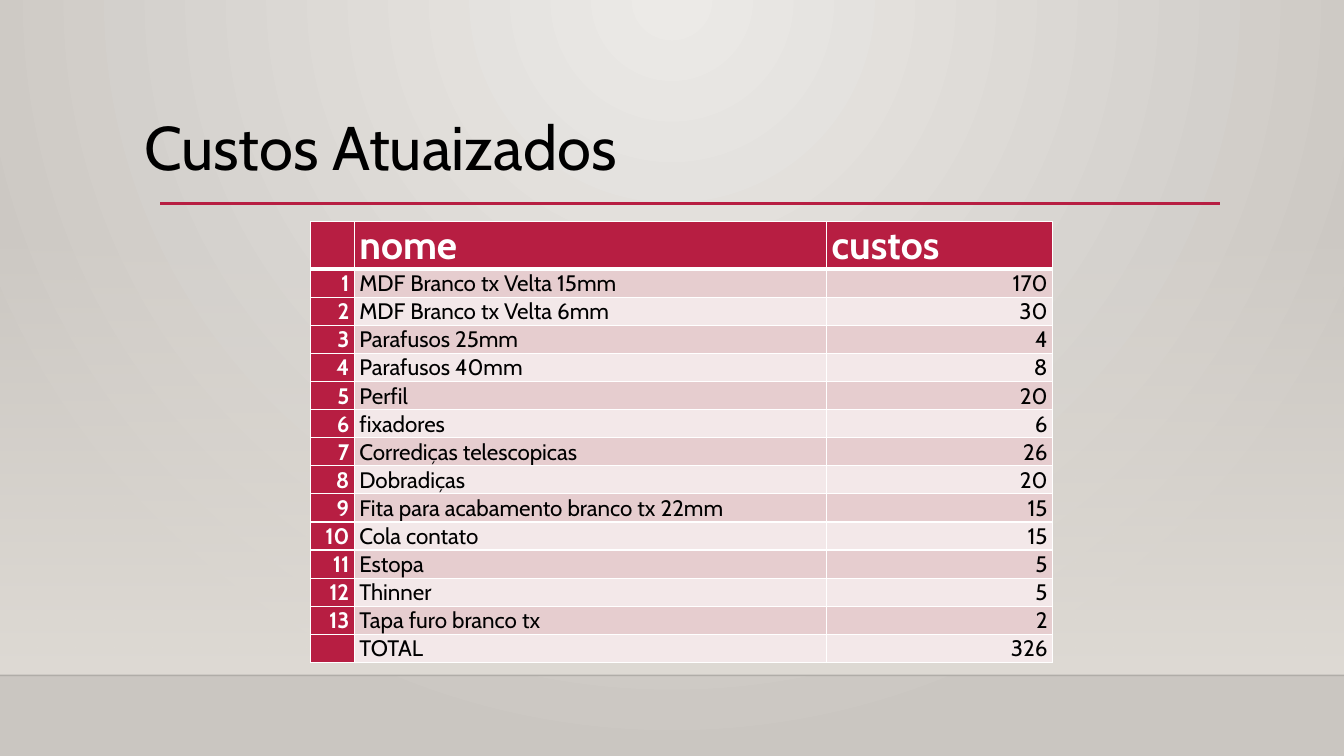
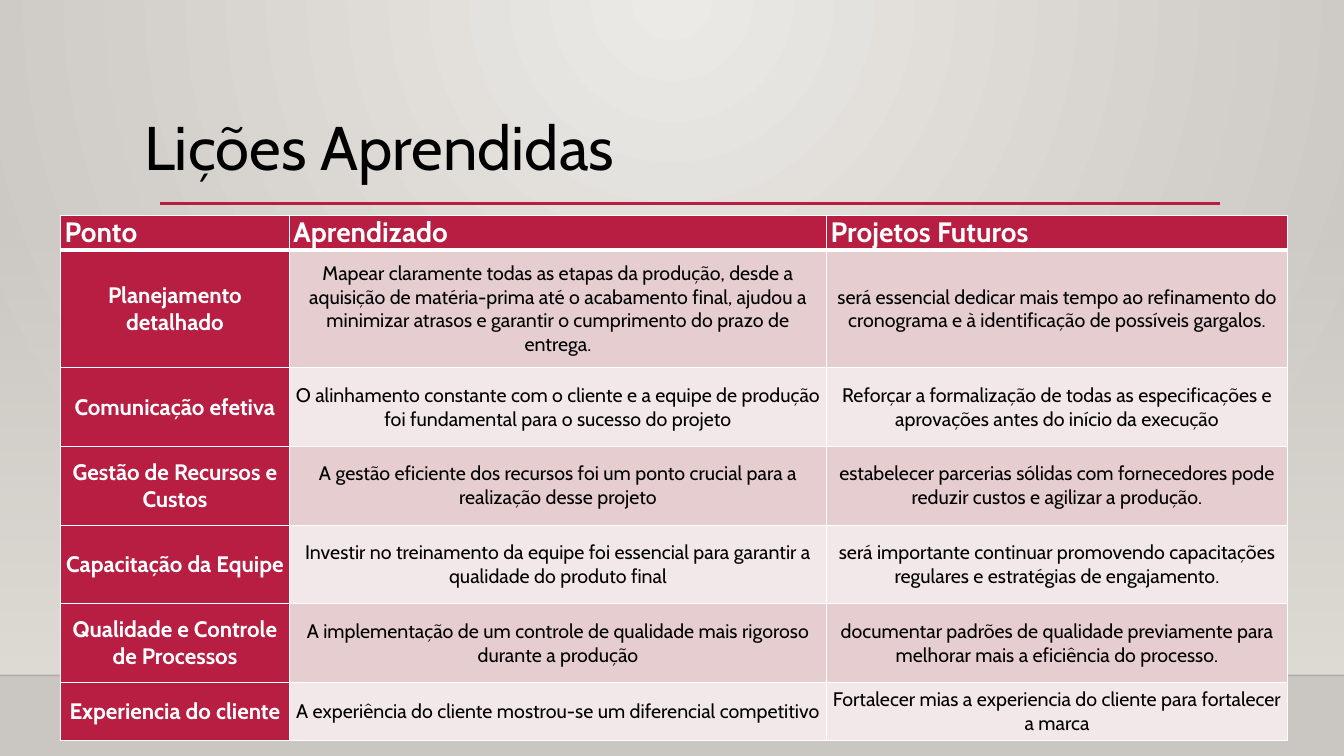
from dataclasses import dataclass

from lxml.etree import SubElement
from pptx import Presentation
from pptx.dml.color import RGBColor
from pptx.enum.shapes import MSO_CONNECTOR, MSO_SHAPE
from pptx.enum.text import MSO_ANCHOR, PP_ALIGN
from pptx.oxml import parse_xml
from pptx.oxml.ns import nsdecls, qn
from pptx.slide import Slide
from pptx.table import _Cell
from pptx.util import Emu, Inches, Pt

WIDE, HIGH = Inches(13.33), Inches(7.5)
ROWS = 75
UNIT = HIGH / ROWS
COLS = WIDE / UNIT

FONT = "Cabin"
RED = RGBColor(0xB7, 0x1E, 0x42)
ROSE = RGBColor(0xE6, 0xCD, 0xCF)
PALE = RGBColor(0xF3, 0xE8, 0xE9)
WHITE = RGBColor(0xFF, 0xFF, 0xFF)
BLACK = RGBColor(0x00, 0x00, 0x00)
GLOW = RGBColor(0xEC, 0xEA, 0xE7)
EDGE = RGBColor(0xCA, 0xC6, 0xC1)
SAND = RGBColor(0xDF, 0xDB, 0xD5)

LEFT, MID, RIGHT = PP_ALIGN.LEFT, PP_ALIGN.CENTER, PP_ALIGN.RIGHT
BASE, CENTER = MSO_ANCHOR.BOTTOM, MSO_ANCHOR.MIDDLE


@dataclass(frozen=True)
class Style:
    size: int
    color: RGBColor
    bold: bool = False
    align: PP_ALIGN = LEFT


@dataclass(frozen=True)
class Grid:
    left: float
    top: float
    cols: list[float]
    rows: list[float]
    inset: float
    anchor: MSO_ANCHOR
    head: Style
    body: list[Style]
    cells: list[list[str]]


@dataclass(frozen=True)
class Page:
    title: str
    grid: Grid


COSTS = [
    ("MDF Branco tx Velta 15mm", 170),
    ("MDF Branco tx Velta 6mm", 30),
    ("Parafusos 25mm", 4),
    ("Parafusos 40mm", 8),
    ("Perfil", 20),
    ("fixadores", 6),
    ("Corrediças telescopicas", 26),
    ("Dobradiças", 20),
    ("Fita para acabamento branco tx 22mm", 15),
    ("Cola contato", 15),
    ("Estopa", 5),
    ("Thinner", 5),
    ("Tapa furo branco tx", 2),
]

LESSONS = [
    ["Ponto", "Aprendizado", "Projetos Futuros"],
    ["Planejamento detalhado",
     "Mapear claramente todas as etapas da produção, desde a aquisição de matéria-prima "
     "até o acabamento final, ajudou a minimizar atrasos e garantir o cumprimento do "
     "prazo de entrega.",
     "será essencial dedicar mais tempo ao refinamento do cronograma e à identificação "
     "de possíveis gargalos."],
    ["Comunicação efetiva",
     "O alinhamento constante com o cliente e a equipe de produção foi fundamental para "
     "o sucesso do projeto",
     "Reforçar a formalização de todas as especificações e aprovações antes do início "
     "da execução"],
    ["Gestão de Recursos e Custos",
     "A gestão eficiente dos recursos foi um ponto crucial para a realização desse projeto",
     "estabelecer parcerias sólidas com fornecedores pode reduzir custos e agilizar a "
     "produção."],
    ["Capacitação da Equipe",
     "Investir no treinamento da equipe foi essencial para garantir a qualidade do "
     "produto final",
     "será importante continuar promovendo capacitações regulares e estratégias de "
     "engajamento."],
    ["Qualidade e Controle de Processos",
     "A implementação de um controle de qualidade mais rigoroso durante a produção",
     "documentar padrões de qualidade previamente para melhorar mais a eficiência do "
     "processo."],
    ["Experiencia do cliente",
     "A experiência do cliente mostrou-se um diferencial competitivo",
     "Fortalecer mias a experiencia do cliente para fortalecer a marca"],
]

PAGES = [
    Page("Custos Atuaizados", Grid(
        30.8, 22, [4.35, 46.85, 22.4], [4.7] + [2.79] * (len(COSTS) + 1), 0.5, BASE,
        Style(28, WHITE, True),
        [Style(16, WHITE, True, RIGHT), Style(16, BLACK), Style(16, BLACK, align=RIGHT)],
        [["", "nome", "custos"]]
        + [[str(n), name, str(cost)] for n, (name, cost) in enumerate(COSTS, 1)]
        + [["", "TOTAL", str(sum(cost for _, cost in COSTS))]],
    )),
    Page("Lições Aprendidas", Grid(
        6, 21.4, [22.7, 53.3, 45.7], [3.4, 11.7] + [7.8] * 4 + [5.8], 0.4, CENTER,
        Style(20, WHITE, True),
        [Style(16, WHITE, True, MID)] + [Style(14, BLACK, align=MID)] * 2,
        LESSONS,
    )),
]


def span(count: float) -> Emu:
    return Emu(round(count * UNIT))


def fade(node, share: int) -> None:
    SubElement(node, qn("a:alpha")).set("val", str(share * 1000))


def tint(fill, first: RGBColor, last: RGBColor) -> None:
    fill.gradient()
    for stop, color, place in zip(fill.gradient_stops, (first, last), (0, 1)):
        stop.color.rgb = color
        stop.position = place


def paint(master) -> None:
    tint(master.background.fill, GLOW, EDGE)
    lin = next(master.element.iter(qn("a:lin")))
    lin.getparent().replace(lin, parse_xml(
        f'<a:path {nsdecls("a")} path="circle">'
        '<a:fillToRect l="50000" t="0" r="50000" b="100000"/></a:path>'))


def rule(slide: Slide, left: float, right: float, top: float,
         color: RGBColor, width: float, share: int = 100) -> None:
    line = slide.shapes.add_connector(
        MSO_CONNECTOR.STRAIGHT, span(left), span(top), span(right), span(top))
    line.line.color.rgb = color
    line.line.width = Pt(width)
    props = line.element.spPr
    SubElement(props, qn("a:effectLst"))
    if share < 100:
        fade(next(props.iter(qn("a:srgbClr"))), share)


def frame(slide: Slide) -> None:
    veil = slide.shapes.add_shape(
        MSO_SHAPE.RECTANGLE, 0, span(22.1), WIDE, span(44.9))
    veil.shadow.inherit = False
    veil.line.fill.background()
    tint(veil.fill, SAND, SAND)
    veil.fill.gradient_angle = 270
    fade(next(veil.element.spPr.iter(qn("a:srgbClr"))), 0)
    rule(slide, 0, COLS, 67, BLACK, 1, 20)
    rule(slide, 15.9, 121, 20.2, RED, 2.5)


def write(para, text: str, style: Style) -> None:
    para.text = text
    para.alignment = style.align
    font = para.font
    font.name, font.size = FONT, Pt(style.size)
    font.bold, font.color.rgb = style.bold, style.color


def title(slide: Slide, text: str) -> None:
    box = slide.shapes.add_textbox(span(14.3), span(7.8), span(106.6), span(14.3))
    body = box.text_frame
    body.word_wrap = True
    body.vertical_anchor = CENTER
    body.margin_left = body.margin_right = body.margin_top = body.margin_bottom = 0
    para = body.paragraphs[0]
    write(para, text, Style(44, BLACK))
    para.line_spacing = 0.9


def border(cell: _Cell, row: int) -> None:
    props = cell._tc.get_or_add_tcPr()
    width = {"L": 1, "R": 1, "T": 3 if row == 1 else 1, "B": 3 if row == 0 else 1}
    for spot, (side, size) in enumerate(width.items()):
        props.insert(spot, parse_xml(
            f'<a:ln{side} {nsdecls("a")} w="{Pt(size)}"><a:solidFill>'
            f'<a:srgbClr val="{WHITE}"/></a:solidFill></a:ln{side}>'))


def table(slide: Slide, grid: Grid) -> None:
    item = slide.shapes.add_table(
        len(grid.rows), len(grid.cols), span(grid.left), span(grid.top),
        span(sum(grid.cols)), span(sum(grid.rows))).table
    item.first_row = item.horz_banding = False
    for col, width in zip(item.columns, grid.cols):
        col.width = span(width)
    for row, height in zip(item.rows, grid.rows):
        row.height = span(height)
    for r, texts in enumerate(grid.cells):
        for c, text in enumerate(texts):
            cell = item.cell(r, c)
            cell.margin_left = cell.margin_right = span(grid.inset)
            cell.margin_top = cell.margin_bottom = 0
            cell.vertical_anchor = grid.anchor
            cell.fill.solid()
            cell.fill.fore_color.rgb = RED if r == 0 or c == 0 else ROSE if r % 2 else PALE
            border(cell, r)
            write(cell.text_frame.paragraphs[0], text, grid.body[c] if r else grid.head)


def main() -> None:
    deck = Presentation()
    deck.slide_width, deck.slide_height = WIDE, HIGH
    paint(deck.slide_master)
    for page in PAGES:
        slide = deck.slides.add_slide(deck.slide_layouts[6])
        frame(slide)
        title(slide, page.title)
        table(slide, page.grid)
    deck.save("out.pptx")


if __name__ == "__main__":
    main()
